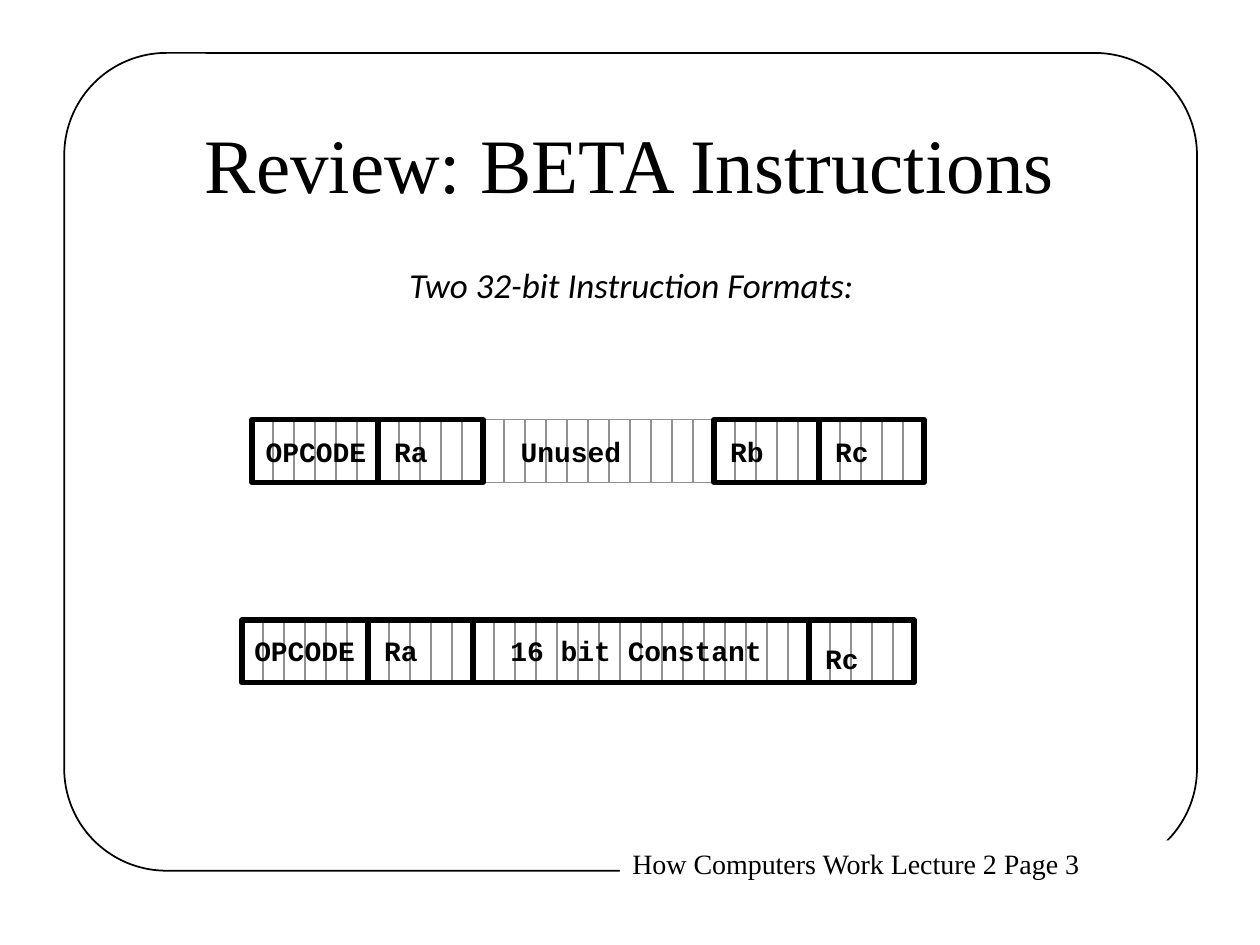
"""Build the slide on the two 32-bit BETA instruction formats."""
from pptx import Presentation
from pptx import util as u
from pptx.dml.color import RGBColor
from pptx.enum import shapes, text

COLORS = {"ink": "000000", "bit": "919191", "paper": "FFFFFF"}
BIT = 1 / 6
ROW = 0.5


def write(sp, words, size=16, font="Courier New", bold=False, italic=False,
          spacing=0.9, align=text.PP_ALIGN.LEFT, anchor=text.MSO_ANCHOR.TOP, wrap=False):
    tf = sp.text_frame
    tf.word_wrap = wrap
    tf.auto_size = text.MSO_AUTO_SIZE.NONE
    tf.vertical_anchor = anchor
    p = tf.paragraphs[0]
    p.alignment = align
    p.line_spacing = spacing
    r = p.add_run()
    r.text = words
    r.font.size = u.Pt(size)
    r.font.name = font
    r.font.bold = bold
    r.font.italic = italic
    r.font.color.rgb = RGBColor.from_string(COLORS["ink"])


def outline(parent, left, top, width, height, color="ink", weight=1,
            kind=shapes.MSO_SHAPE.RECTANGLE):
    sp = parent.add_shape(kind, u.Inches(left), u.Inches(top), u.Inches(width), u.Inches(height))
    sp.shadow.inherit = False
    sp.fill.background()
    sp.line.color.rgb = RGBColor.from_string(COLORS[color])
    sp.line.width = u.Pt(weight)
    return sp


prs = Presentation()
prs.slide_width, prs.slide_height = u.Inches(10), u.Inches(7.5)
slide = prs.slides.add_slide(prs.slide_layouts[5])

frame = outline(slide.shapes, 0.51, 0.42, 8.99, 6.49, kind=shapes.MSO_SHAPE.ROUNDED_RECTANGLE)
frame.adjustments[0] = 0.125

footer = slide.shapes.add_textbox(u.Inches(4.92), u.Inches(6.67), u.Inches(4.59), u.Inches(0.37))
footer.fill.solid()
footer.fill.fore_color.rgb = RGBColor.from_string(COLORS["paper"])
write(footer, "How Computers Work Lecture 2 Page 3", font="Times New Roman", spacing=1.0)

title = slide.shapes.title
title.left, title.top = u.Inches(0.75), u.Inches(0.67)
title.width, title.height = u.Inches(8.5), u.Inches(1.25)
write(title, "Review: BETA Instructions", size=44, font="Times New Roman", spacing=1.0,
      align=text.PP_ALIGN.CENTER, anchor=text.MSO_ANCHOR.MIDDLE, wrap=True)

subtitle = slide.shapes.add_textbox(u.Inches(3.15), u.Inches(2.08), u.Inches(4.07), u.Inches(0.4))
write(subtitle, "Two 32-bit Instruction Formats:", size=20, font="Calibri", italic=True)

formats = [
    (2.0, 3.33, [("OPCODE", 6, 0.01, 0.1, 1.0), ("Ra", 5, 0.03, 0.1, 0.46),
                 ("Unused", 11, 0.2, 0.1, 1.0), ("Rb", 5, 0.03, 0.1, 0.46),
                 ("Rc", 5, 0.03, 0.1, 0.46)]),
    (1.92, 4.92, [("OPCODE", 6, 0, 0.09, 1.0), ("Ra", 5, 0.03, 0.09, 0.46),
                  ("16 bit Constant", 16, 0.2, 0.09, 2.19), ("Rc", 5, 0.03, 0.15, 0.46)]),
]

for left, top, fields in formats:
    group = slide.shapes.add_group_shape().shapes
    for bit in range(32):
        outline(group, left + bit * BIT, top, BIT, ROW, color="bit")
    start = left
    for name, bits, dx, dy, width in fields:
        if name != "Unused":
            outline(group, start, top, bits * BIT, ROW, weight=3)
        label = group.add_textbox(u.Inches(start + dx), u.Inches(top + dy),
                                  u.Inches(width), u.Inches(0.34))
        write(label, name, bold=True)
        start += bits * BIT

prs.save("out.pptx")
